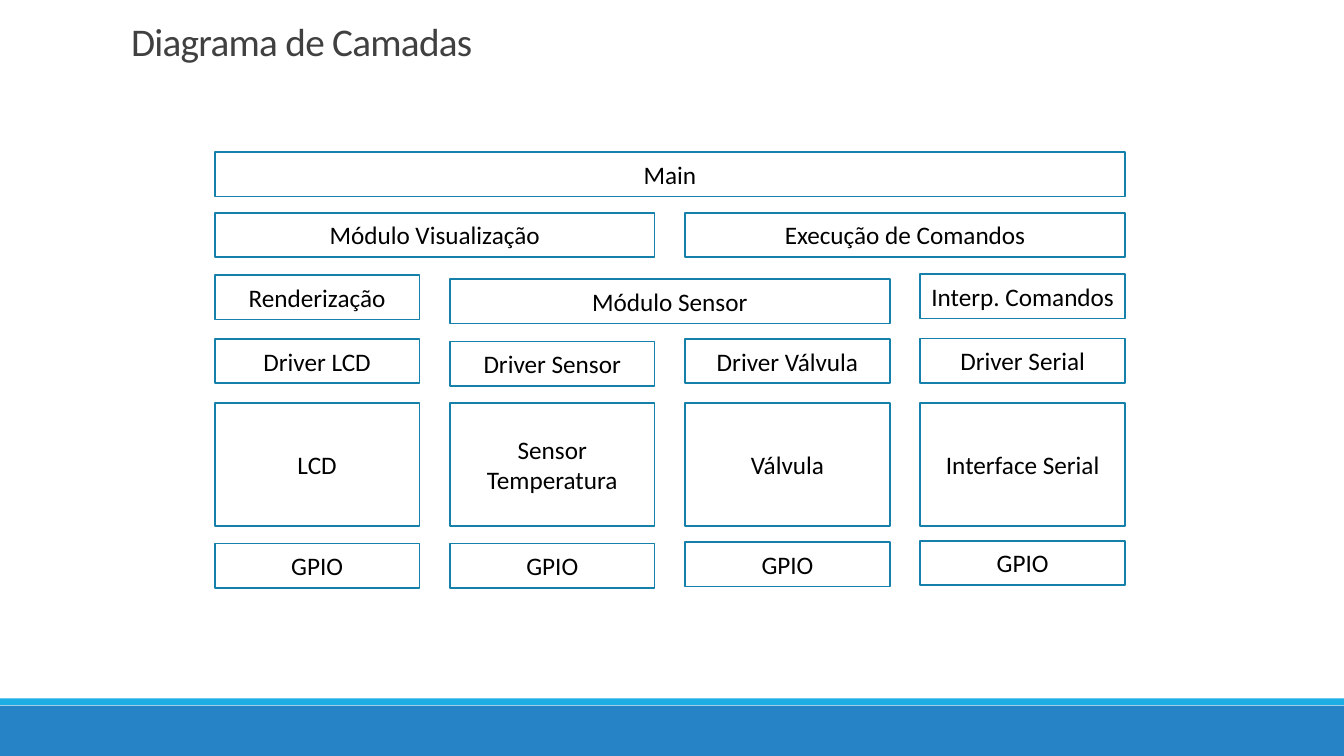
from pptx import Presentation
from pptx.dml.color import RGBColor
from pptx.enum.shapes import MSO_SHAPE
from pptx.enum.text import MSO_ANCHOR, MSO_AUTO_SIZE, PP_ALIGN
from pptx.util import Pt

RECTANGLE = MSO_SHAPE.RECTANGLE
MIDDLE = MSO_ANCHOR.MIDDLE
NO_AUTOFIT = MSO_AUTO_SIZE.NONE
LEFT, CENTER = PP_ALIGN.LEFT, PP_ALIGN.CENTER

WHITE = RGBColor(0xFF, 0xFF, 0xFF)
BLACK = RGBColor(0x00, 0x00, 0x00)
GRAY = RGBColor(0x40, 0x40, 0x40)
TEAL = RGBColor(0x15, 0x80, 0xA9)
BLUE = RGBColor(0x26, 0x83, 0xC6)
CYAN = RGBColor(0x1C, 0xAD, 0xE4)

SLIDE_WIDTH, SLIDE_HEIGHT = 960, 540
GRID_LEFT, COLUMN_PITCH, COLUMN_WIDTH = 153.4, 168, 146.2
LAYER_HEIGHT, DEVICE_HEIGHT = 31.7, 87.8
DEVICE_TOP = 288

LAYERS = [
    ("Main", 0, 4, 108.7),
    ("Módulo Visualização", 0, 2, 151.9),
    ("Execução de Comandos", 2, 2, 151.9),
    ("Renderização", 0, 1, 196.5),
    ("Módulo Sensor", 1, 2, 199.4),
    ("Interp. Comandos", 3, 1, 195.8),
    ("Driver LCD", 0, 1, 242),
    ("Driver Sensor", 1, 1, 244),
    ("Driver Válvula", 2, 1, 242),
    ("Driver Serial", 3, 1, 241.8),
    ("GPIO", 0, 1, 388.3),
    ("GPIO", 1, 1, 388.3),
    ("GPIO", 2, 1, 387.2),
    ("GPIO", 3, 1, 386.2),
]
DEVICES = ["LCD", "Sensor Temperatura", "Válvula", "Interface Serial"]


class LayerSlide:
    font = "Calibri"

    def __init__(self, deck):
        self.slide = deck.slides.add_slide(deck.slide_layouts[5])

    def label(self, frame, text, size, color, align):
        frame.text = text
        frame.word_wrap = True
        frame.auto_size = NO_AUTOFIT
        frame.vertical_anchor = MIDDLE
        paragraph = frame.paragraphs[0]
        paragraph.alignment = align
        run = paragraph.runs[0]
        run.font.name = self.font
        run.font.size = Pt(size)
        run.font.color.rgb = color
        return paragraph

    def title(self, text, left, top, width, height):
        heading = self.slide.shapes.title
        heading.left, heading.top = Pt(left), Pt(top)
        heading.width, heading.height = Pt(width), Pt(height)
        paragraph = self.label(heading.text_frame, text, 28, GRAY, LEFT)
        paragraph.line_spacing = 0.85
        paragraph.runs[0]._r.get_or_add_rPr().set("spc", "-50")

    def bar(self, left, top, width, height, fill):
        block = self.slide.shapes.add_shape(
            RECTANGLE, Pt(left), Pt(top), Pt(width), Pt(height))
        block.shadow.inherit = False
        block.fill.solid()
        block.fill.fore_color.rgb = fill
        block.line.fill.background()
        return block

    def layer(self, text, column, span, top, height=LAYER_HEIGHT):
        left = GRID_LEFT + column * COLUMN_PITCH
        width = COLUMN_WIDTH + (span - 1) * COLUMN_PITCH
        block = self.bar(left, top, width, height, WHITE)
        block.line.color.rgb = TEAL
        block.line.width = Pt(1.25)
        self.label(block.text_frame, text, 18, BLACK, CENTER)


deck = Presentation()
deck.slide_width, deck.slide_height = Pt(SLIDE_WIDTH), Pt(SLIDE_HEIGHT)

diagram = LayerSlide(deck)
diagram.bar(0, 504, SLIDE_WIDTH, 36, BLUE)
diagram.bar(0, 498.8, SLIDE_WIDTH, 5, CYAN)
diagram.title("Diagrama de Camadas", 86.4, 13, 792, 37.4)
for name, column, span, top in LAYERS:
    diagram.layer(name, column, span, top)
for column, name in enumerate(DEVICES):
    diagram.layer(name, column, 1, DEVICE_TOP, DEVICE_HEIGHT)

deck.save("out.pptx")
